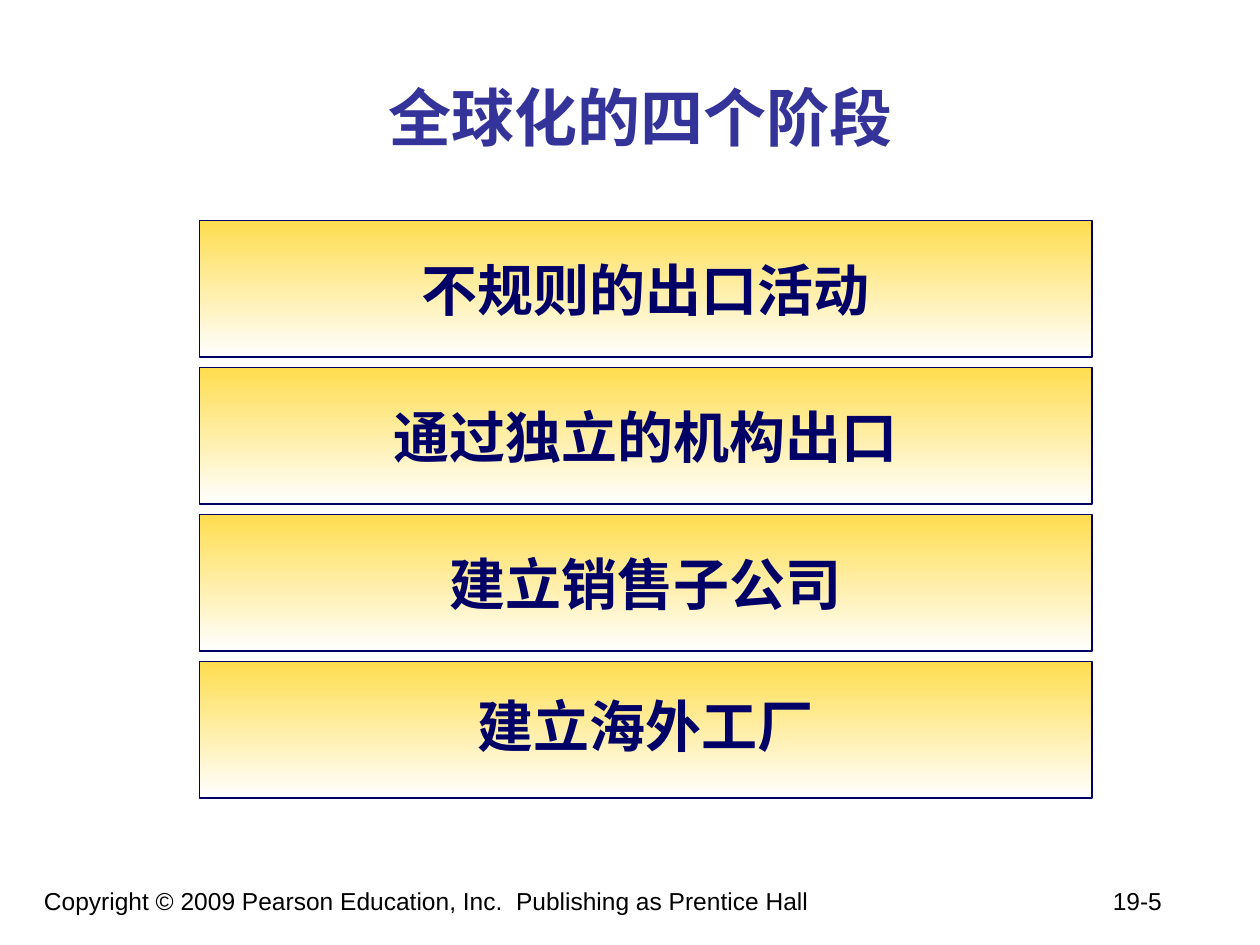
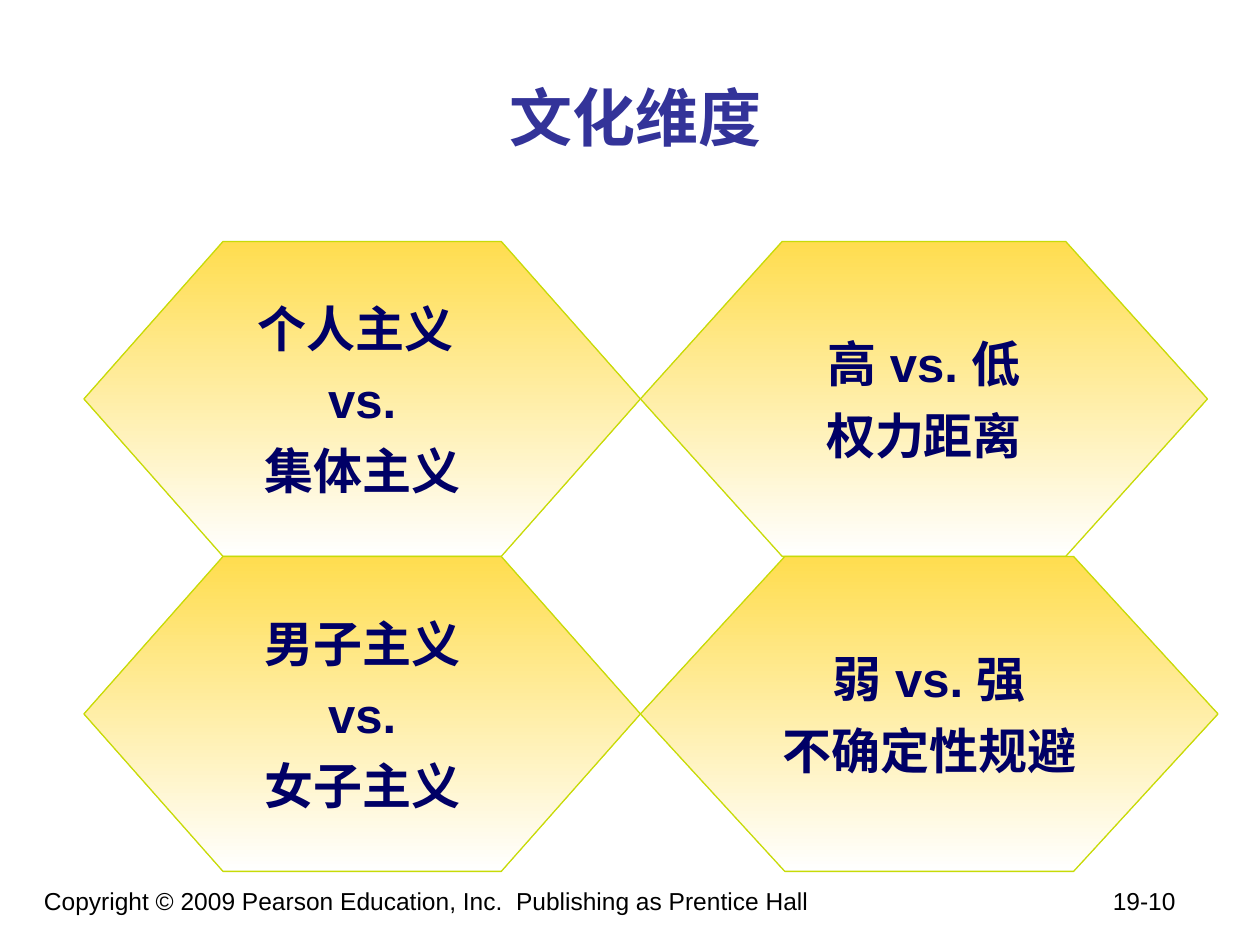
from lxml.etree import SubElement
from pptx import Presentation
from pptx.dml.color import RGBColor
from pptx.enum.shapes import MSO_SHAPE as SHAPE
from pptx.enum.text import MSO_ANCHOR as ANCHOR, PP_ALIGN as ALIGN
from pptx.oxml.ns import qn
from pptx.util import Pt

TITLE_BLUE = RGBColor(0x33, 0x33, 0x99)
NAVY = RGBColor(0x00, 0x00, 0x66)
GOLD = RGBColor(0xFF, 0xDD, 0x4F)
LIME = RGBColor(0xC7, 0xDB, 0x07)
WHITE = RGBColor(0xFF, 0xFF, 0xFF)
BLACK = RGBColor(0x00, 0x00, 0x00)
BODY_FONT, TITLE_FONT = "Arial", "Noto Sans CJK SC"

COPYRIGHT = "Copyright © 2009 Pearson Education, Inc.  Publishing as Prentice Hall"
STAGES_TITLE = "全球化的四个阶段"
STAGES = ["不规则的出口活动", "通过独立的机构出口", "建立销售子公司", "建立海外工厂"]
CULTURE_TITLE = "文化维度"
# Rows of (width, lines)
DIMENSIONS = [
    [(530, ["个人主义 ", "vs.", "集体主义"]), (540, ["高 vs. 低", "权力距离"])],
    [(530, ["男子主义", "vs.", "女子主义"]), (550, ["弱 vs. 强", "不确定性规避"])],
]

PX = 7620  # 120 px to the inch
SLIDE_W, SLIDE_H = 1200, 900
FOOTER_BOX, PAGE_TAB = (30, 838, 1120, 62), 1018
STAGE_X, STAGE_Y, STAGE_W, STAGE_H, STAGE_GAP = 190, 210, 850, 130, 10
HEX_X, HEX_Y, HEX_H = 80, 230, 300


def emu(*lengths):
    return [n * PX for n in lengths]


def write(tf, lines, size, color, font=BODY_FONT, bold=True, align=ALIGN.CENTER,
          anchor=ANCHOR.MIDDLE, wrap=True, gap=0, spacing=None):
    tf.word_wrap = wrap
    tf.vertical_anchor = anchor
    for i, line in enumerate(lines):
        p = tf.add_paragraph() if i else tf.paragraphs[0]
        p.alignment = align
        if i:
            p.space_before = Pt(gap)
        if spacing:
            p.line_spacing = spacing
        r = p.add_run()
        r.text = line
        r.font.size, r.font.bold, r.font.name = Pt(size), bold, font
        r.font.color.rgb = color
        SubElement(r.font._element, qn("a:ea")).set("typeface", font)


def add_slide(prs, title, title_box, page):
    s = prs.slides.add_slide(prs.slide_layouts[5])
    sp = s.shapes.title
    sp.left, sp.top, sp.width, sp.height = emu(*title_box)
    write(sp.text_frame, [title], 36, TITLE_BLUE, font=TITLE_FONT)

    tf = s.shapes.add_textbox(*emu(*FOOTER_BOX)).text_frame
    tabs = SubElement(tf.paragraphs[0]._p.get_or_add_pPr(), qn("a:tabLst"))
    tab = SubElement(tabs, qn("a:tab"))
    tab.set("pos", str(PAGE_TAB * PX))
    tab.set("algn", "l")
    write(tf, [f"{COPYRIGHT}\t{page}"], 14, BLACK, bold=False,
          align=ALIGN.LEFT, anchor=ANCHOR.TOP)
    return s


def add_panel(s, kind, box, line_color):
    """Add a shape that fades from gold at the top to white."""
    sp = s.shapes.add_shape(kind, *emu(*box))
    sp.shadow.inherit = False
    sp.fill.gradient()
    sp.fill.gradient_angle = 270
    for stop, color in zip(sp.fill.gradient_stops, (GOLD, WHITE)):
        stop.color.rgb = color
    sp.line.color.rgb = line_color
    sp.line.width = Pt(0.75)
    return sp


def build_stages(prs):
    s = add_slide(prs, STAGES_TITLE, (60, 36, 1100, 150), "19-5")
    for i, stage in enumerate(STAGES):
        y = STAGE_Y + i * (STAGE_H + STAGE_GAP)
        sp = add_panel(s, SHAPE.RECTANGLE, (STAGE_X, y, STAGE_W, STAGE_H), NAVY)
        last = i == len(STAGES) - 1
        write(sp.text_frame, [stage], 32, NAVY, wrap=False,
              spacing=0.9 if last else None)


def build_dimensions(prs):
    s = add_slide(prs, CULTURE_TITLE, (100, 36, 1010, 150), "19-10")
    for row, cells in enumerate(DIMENSIONS):
        x = HEX_X
        for width, lines in cells:
            box = (x, HEX_Y + row * HEX_H, width, HEX_H)
            sp = add_panel(s, SHAPE.HEXAGON, box, LIME)
            sp.adjustments[0] = width / 4 / HEX_H
            write(sp.text_frame, lines, 28, NAVY, wrap=False, gap=7)
            x += width


def main():
    prs = Presentation()
    prs.slide_width, prs.slide_height = emu(SLIDE_W, SLIDE_H)
    build_stages(prs)
    build_dimensions(prs)
    prs.save("out.pptx")


if __name__ == "__main__":
    main()
